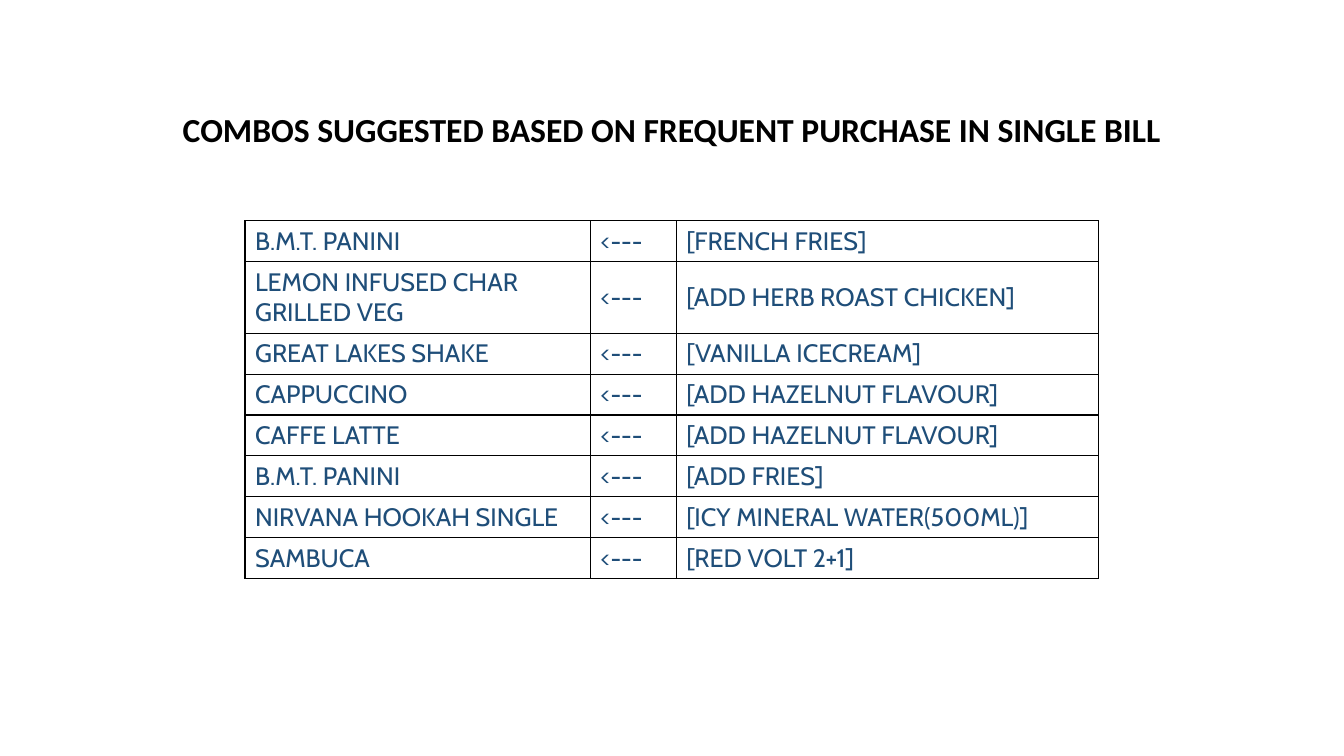
from dataclasses import dataclass

from lxml.etree import SubElement
from pptx import Presentation
from pptx.dml.color import RGBColor
from pptx.enum.text import MSO_ANCHOR as Anchor, PP_ALIGN as Align
from pptx.oxml.ns import qn
from pptx.util import Pt


@dataclass(frozen=True)
class Theme:
    paper: str = "FFFFFF"
    ink: str = "000000"
    item: str = "1F4E79"
    title_font: str = "Calibri"
    item_font: str = "Cabin"
    title_size: int = 24
    item_size: int = 18
    border: int = 1


THEME = Theme()
TITLE = "COMBOS SUGGESTED BASED ON FREQUENT PURCHASE IN SINGLE BILL"
ARROW = "<---"
COMBOS = [
    ("B.M.T. PANINI", "[FRENCH FRIES]"),
    ("LEMON INFUSED CHAR GRILLED VEG", "[ADD HERB ROAST CHICKEN]"),
    ("GREAT LAKES SHAKE", "[VANILLA ICECREAM]"),
    ("CAPPUCCINO", "[ADD HAZELNUT FLAVOUR]"),
    ("CAFFE LATTE", "[ADD HAZELNUT FLAVOUR]"),
    ("B.M.T. PANINI", "[ADD FRIES]"),
    ("NIRVANA HOOKAH SINGLE", "[ICY MINERAL WATER(500ML)]"),
    ("SAMBUCA", "[RED VOLT 2+1]"),
]
COLUMN_WIDTHS = (246.6, 61.4, 301.6)
ROW_HEIGHT = 29.2
TWO_LINE_HEIGHT = 51
TWO_LINE_ROW = 1


def style_font(paragraph, name, size, color, bold=False):
    font = paragraph.font
    font.name = name
    font.size = Pt(size)
    font.bold = bold
    font.color.rgb = RGBColor.from_string(color)


def add_title(slide, text):
    title = slide.shapes.add_textbox(Pt(122.4), Pt(74.2), Pt(715), Pt(36))
    title.text_frame.word_wrap = True
    line = title.text_frame.paragraphs[0]
    line.text = text
    line.alignment = Align.CENTER
    style_font(line, THEME.title_font, THEME.title_size, THEME.ink, bold=True)


def add_borders(cell):
    properties = cell._tc.get_or_add_tcPr()
    for position, side in enumerate(("lnL", "lnR", "lnT", "lnB")):
        edge = SubElement(properties, qn(f"a:{side}"), w=str(Pt(THEME.border)))
        properties.insert(position, edge)
        fill = SubElement(edge, qn("a:solidFill"))
        SubElement(fill, qn("a:srgbClr"), val=THEME.ink)


def fill_cell(cell, text):
    cell.fill.solid()
    cell.fill.fore_color.rgb = RGBColor.from_string(THEME.paper)
    cell.vertical_anchor = Anchor.MIDDLE
    line = cell.text_frame.paragraphs[0]
    line.text = text
    style_font(line, THEME.item_font, THEME.item_size, THEME.item)
    add_borders(cell)


def add_combo_table(slide, combos):
    heights = [ROW_HEIGHT] * len(combos)
    heights[TWO_LINE_ROW] = TWO_LINE_HEIGHT
    combo_table = slide.shapes.add_table(
        len(combos), len(COLUMN_WIDTHS), Pt(175), Pt(157.7),
        Pt(sum(COLUMN_WIDTHS)), Pt(sum(heights)),
    ).table
    combo_table.first_row = False
    combo_table.horz_banding = False
    for column, width in zip(combo_table.columns, COLUMN_WIDTHS):
        column.width = Pt(width)
    for row, height, (item, addition) in zip(combo_table.rows, heights, combos):
        row.height = Pt(height)
        for cell, text in zip(row.cells, (item, ARROW, addition)):
            fill_cell(cell, text)


def main():
    deck = Presentation()
    deck.slide_width, deck.slide_height = Pt(960), Pt(540)
    slide = deck.slides.add_slide(deck.slide_layouts[6])
    add_combo_table(slide, COMBOS)
    add_title(slide, TITLE)
    deck.save("out.pptx")


if __name__ == "__main__":
    main()
